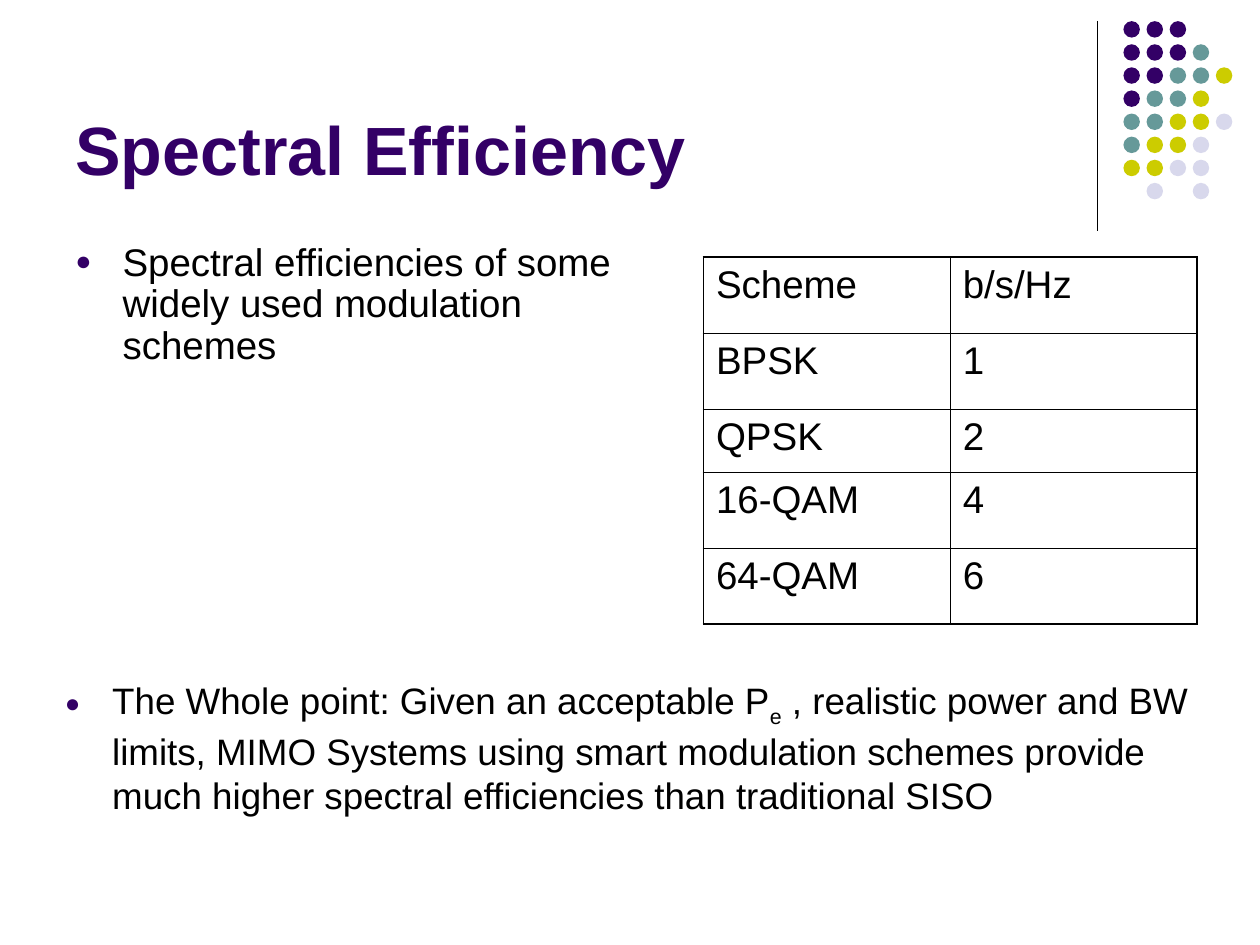
from lxml import etree
from pptx import Presentation
from pptx import util as u
from pptx.dml import color
from pptx.enum import shapes, text
from pptx.oxml import ns

Pt = u.Pt


def tint(code):
    return color.RGBColor.from_string(code)


def node(parent, tag, **attrs):
    return etree.SubElement(parent, ns.qn(tag), attrs)


class Deck:
    face = "Arial"
    ink = "000000"
    main = "330066"
    hues = {"P": main, "T": "669999", "Y": "CCCC00", "L": "D8D8EC"}

    def __init__(self, wide, high):
        self.show = Presentation()
        self.show.slide_width, self.show.slide_height = Pt(wide), Pt(high)
        self.slide = self.show.slides.add_slide(self.show.slide_layouts[6])
        self.shapes = self.slide.shapes

    def style(self, para, size, hue, bold=False):
        font = para.font
        font.name, font.size, font.bold = self.face, Pt(size), bold
        font.color.rgb = tint(hue)

    def box(self, left, top, wide, high):
        frame = self.shapes.add_textbox(Pt(left), Pt(top), Pt(wide), Pt(high)).text_frame
        frame.word_wrap = True
        return frame

    def title(self, words, *place):
        frame = self.box(*place)
        frame.vertical_anchor = text.MSO_ANCHOR.BOTTOM
        para = frame.paragraphs[0]
        para.add_run().text = words
        self.style(para, 39, self.main, True)

    def bullet(self, parts, place, size, before, lines=1.0):
        para = self.box(*place).paragraphs[0]
        para.space_before, para.line_spacing = Pt(before), lines
        props = para._p.get_or_add_pPr()
        props.set("marL", str(Pt(27)))
        props.set("indent", str(Pt(-27)))
        node(node(props, "a:buClr"), "a:srgbClr", val=self.main)
        node(props, "a:buSzPct", val="70000")
        node(props, "a:buFont", typeface=self.face)
        node(props, "a:buChar", char="●")
        self.style(para, size, self.ink)
        for words, base in parts:
            run = para.add_run()
            run.text = words
            if base:
                run._r.get_or_add_rPr().set("baseline", str(base * 1000))

    def rule(self, *ends):
        line = self.shapes.add_connector(shapes.MSO_CONNECTOR.STRAIGHT, *map(Pt, ends))
        line.line.color.rgb = tint(self.ink)
        line.line.width = Pt(0.75)
        node(line._element.spPr, "a:effectLst")

    def dots(self, rows, left, top, size, step):
        for i, row in enumerate(rows):
            for j, key in enumerate(row):
                if key in self.hues:
                    dot = self.shapes.add_shape(
                        shapes.MSO_SHAPE.OVAL, Pt(left + j * step), Pt(top + i * step),
                        Pt(size), Pt(size))
                    dot.shadow.inherit = False
                    dot.fill.solid()
                    dot.fill.fore_color.rgb = tint(self.hues[key])
                    dot.line.fill.background()

    def edges(self, cell, outer):
        props = cell._tc.get_or_add_tcPr()
        for side, edge in zip("LRTB", outer):
            line = node(props, f"a:ln{side}", w=str(Pt(1.08 if edge else 0.45)))
            node(node(line, "a:solidFill"), "a:srgbClr", val=self.ink)

    def table(self, data, left, top, wide, highs):
        rows, cols = len(data), len(data[0])
        grid = self.shapes.add_table(
            rows, cols, Pt(left), Pt(top), Pt(wide), Pt(sum(highs))).table
        grid.first_row = grid.horz_banding = False
        for i, row in enumerate(data):
            grid.rows[i].height = Pt(highs[i])
            for j, words in enumerate(row):
                cell = grid.cell(i, j)
                self.edges(cell, (j == 0, j == cols - 1, i == 0, i == rows - 1))
                cell.fill.background()
                para = cell.text_frame.paragraphs[0]
                para.space_before = Pt(5.5)
                para.add_run().text = words
                self.style(para, 22, self.ink)


def main():
    deck = Deck(720, 540)
    deck.rule(627, 12, 627, 132)
    deck.dots(["PPP", "PPPT", "PPTTY", "PTTY", "TTYYL", "TYYL", "YYLL", " L L"],
              642, 12.1, 9.4, 13.2)
    deck.title("Spectral Efficiency", 36, 9.4, 594, 102)
    deck.bullet([("Spectral efficiencies of some widely used modulation schemes", 0)],
                (36, 135.4, 360, 81), 22, 5.5, 0.9)
    deck.bullet([("The Whole point: Given an acceptable P", 0), ("e", -25),
                 (" , realistic power and BW limits, MIMO Systems using smart modulation "
                  "schemes provide much higher spectral efficiencies than traditional SISO", 0)],
                (30, 384, 660, 126), 21, 5.2)
    deck.table([("Scheme", "b/s/Hz"), ("BPSK", "1"), ("QPSK", "2"),
                ("16-QAM", "4"), ("64-QAM", "6")],
               402, 147, 282, (43.4, 43.4, 36, 43.4, 43.4))
    deck.show.save("out.pptx")


if __name__ == "__main__":
    main()
